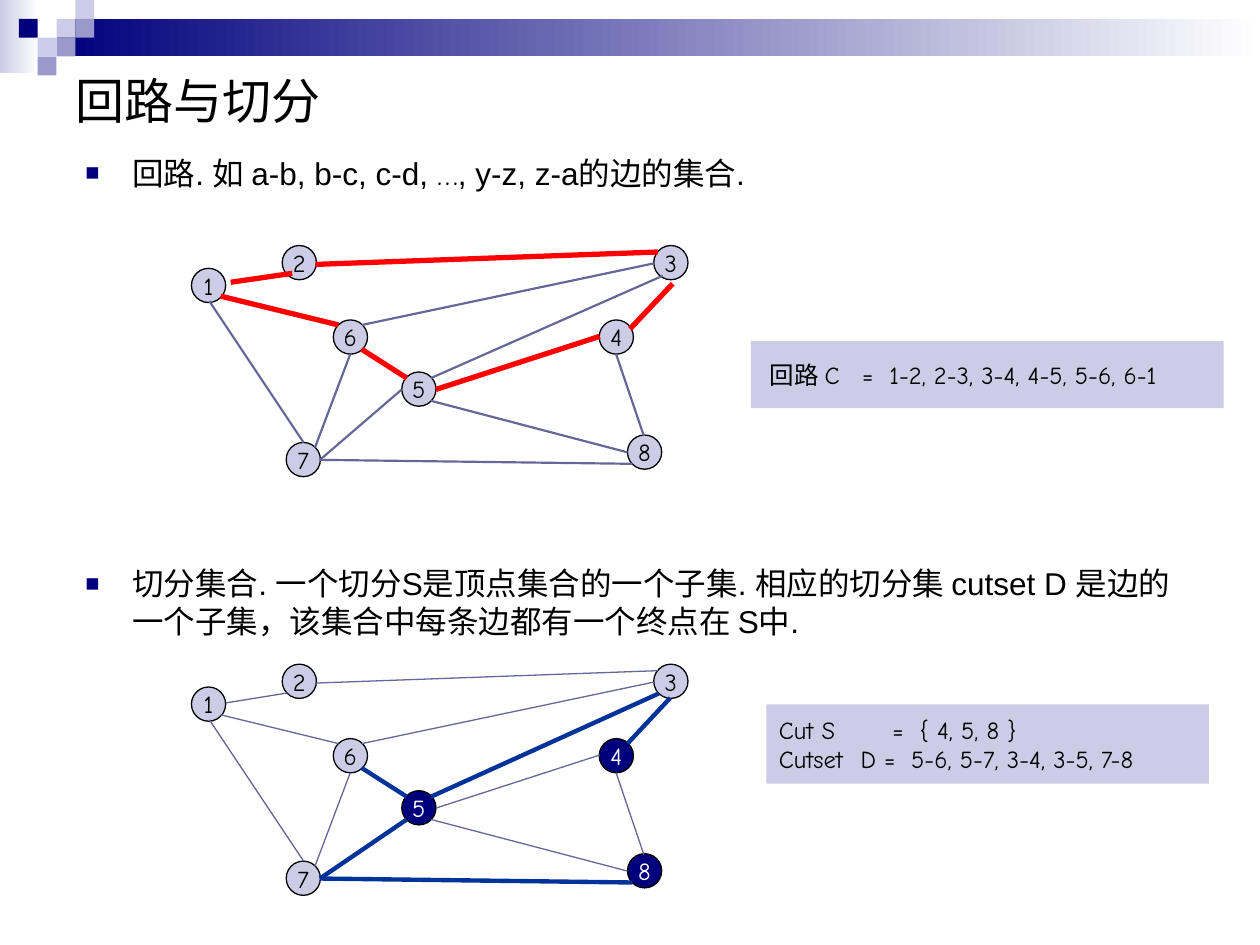
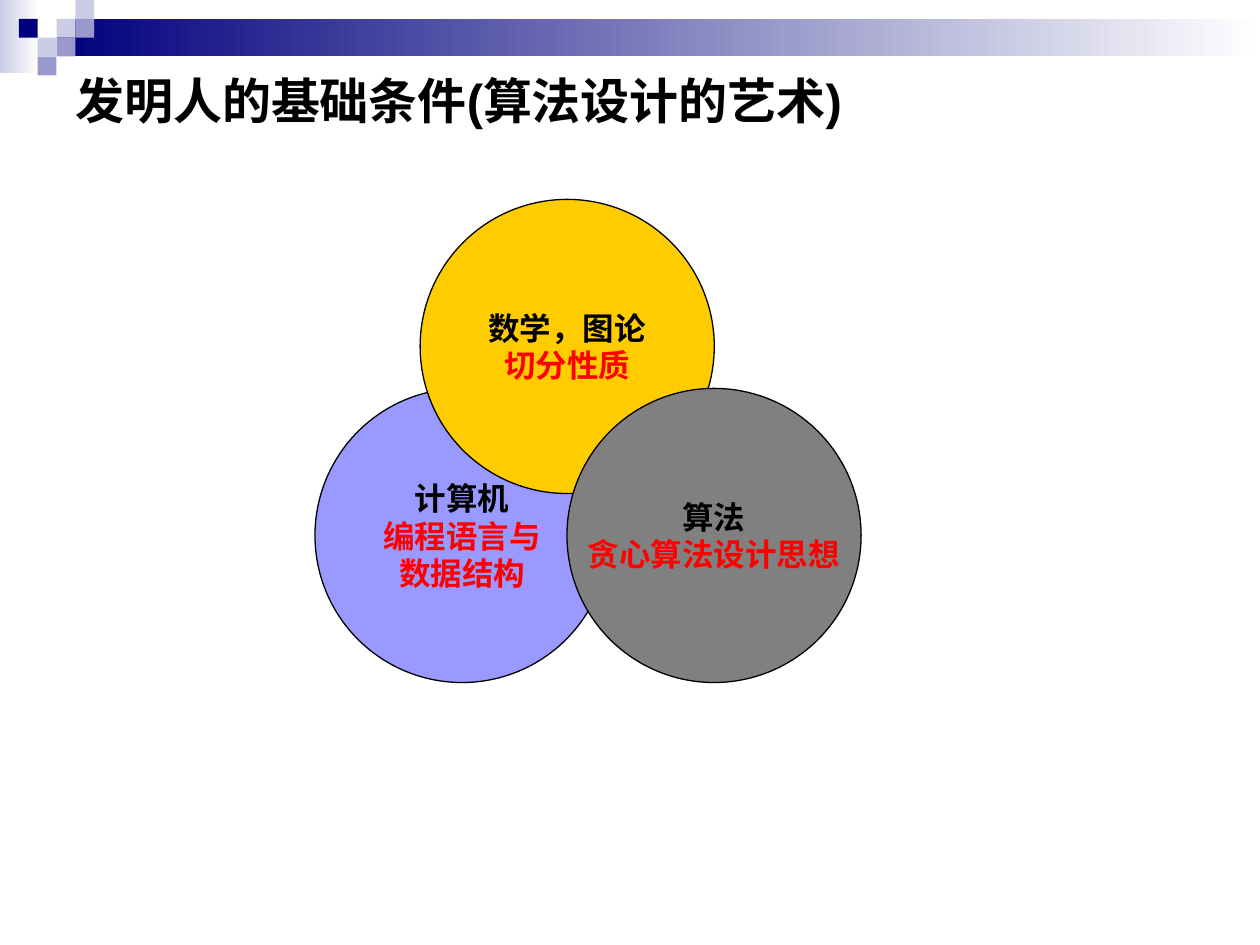
import dataclasses
import typing

import lxml.etree
import pptx
import pptx.dml.color
import pptx.enum.shapes
import pptx.enum.text
import pptx.oxml.ns
import pptx.util

Cm = pptx.util.Cm
RGBColor = pptx.dml.color.RGBColor
SHAPE = pptx.enum.shapes.MSO_SHAPE
ALIGN = pptx.enum.text.PP_ALIGN
ANCHOR = pptx.enum.text.MSO_ANCHOR

# Colours and fonts
BLACK = RGBColor(0x00, 0x00, 0x00)
WHITE = RGBColor(0xFF, 0xFF, 0xFF)
NAVY = RGBColor(0x00, 0x00, 0x7D)
LAVENDER = RGBColor(0xCC, 0xCC, 0xE6)
PERIWINKLE = RGBColor(0x99, 0x99, 0xCC)
EDGE_GREY = RGBColor(0x66, 0x66, 0x99)
CUT_BLUE = RGBColor(0x00, 0x33, 0x99)
RED = RGBColor(0xFF, 0x00, 0x00)
LILAC = RGBColor(0x99, 0x99, 0xFF)
GOLD = RGBColor(0xFF, 0xCC, 0x00)
GREY = RGBColor(0x80, 0x80, 0x80)
SANS = "Arial"
HAND = "Comic Neue"

SQUARE = 0.38
NODE = 0.69
DISC = 5.93


class Area(typing.NamedTuple):
    left: float
    top: float
    width: float
    height: float


class Span(typing.NamedTuple):
    text: str
    font: str = SANS
    color: RGBColor = BLACK


class Square(typing.NamedTuple):
    column: int
    row: int
    color: RGBColor


class Edge(typing.NamedTuple):
    x1: float
    y1: float
    x2: float
    y2: float


class Note(typing.NamedTuple):
    text: str
    tabs: tuple[float, ...]


@dataclasses.dataclass
class Graph:
    top: float
    marked_edges: set[str]
    mark_color: RGBColor
    mark_width: float
    plain_width: float
    dark_nodes: set[str] = dataclasses.field(default_factory=set)
    moved_edges: dict[str, Edge] = dataclasses.field(default_factory=dict)


@dataclasses.dataclass
class Disc:
    left: float
    top: float
    color: RGBColor
    heading: str
    details: list[str]


SQUARES = [
    Square(3, 1, LAVENDER), Square(4, 0, LAVENDER), Square(4, 1, PERIWINKLE),
    Square(2, 2, LAVENDER), Square(1, 1, NAVY), Square(3, 2, PERIWINKLE),
    Square(2, 3, PERIWINKLE),
]

# Left and top of each node, measured in the upper graph
NODES = {
    "1": (3.86, 5.41), "2": (5.69, 4.95), "3": (13.18, 4.95), "4": (12.08, 6.45),
    "5": (8.1, 7.5), "6": (6.72, 6.45), "7": (5.77, 8.92), "8": (12.65, 8.77),
}
EDGES = {
    "1-2": Edge(4.65, 5.69, 5.89, 5.51),
    "1-6": Edge(4.45, 5.97, 6.82, 6.55),
    "1-7": Edge(4.22, 6.07, 6.12, 8.92),
    "3-6": Edge(7.3, 6.55, 13.18, 5.31),
    "3-4": Edge(12.7, 6.63, 13.56, 5.72),
    "5-6": Edge(7.29, 7.04, 8.2, 7.62),
    "5-8": Edge(8.69, 8.08, 12.65, 9.12),
    "4-5": Edge(8.79, 7.85, 12.09, 6.78),
    "4-8": Edge(12.42, 7.14, 12.98, 8.79),
    "3-5": Edge(13.36, 5.56, 8.69, 7.62),
    "6-7": Edge(7.06, 7.14, 6.35, 9.02),
    "5-7": Edge(6.45, 9.27, 8.1, 7.85),
    "2-3": Edge(6.36, 5.33, 13.26, 5.08),
    "7-8": Edge(6.45, 9.27, 12.75, 9.35),
}
CYCLE_GRAPH = Graph(0, {"1-2", "2-3", "3-4", "4-5", "5-6", "1-6"}, RED, 3, 1.25)
CUT_GRAPH = Graph(
    8.44, {"5-6", "5-7", "3-4", "3-5", "7-8"}, CUT_BLUE, 2.5, 0.75,
    dark_nodes={"4", "5", "8"},
    moved_edges={
        "1-2": Edge(4.55, 5.73, 5.79, 5.53),
        "3-4": Edge(12.65, 6.55, 13.51, 5.63),
        "3-5": Edge(13.28, 5.54, 8.69, 7.62),
        "5-7": Edge(6.45, 9.27, 8.2, 8.08),
    },
)

DISCS = [
    Disc(6.35, 7.83, LILAC, "计算机", ["编程语言与", "数据结构"]),
    Disc(8.47, 4.02, GOLD, "数学，图论", ["切分性质"]),
    Disc(11.43, 7.83, GREY, "算法", ["贪心算法设计思想"]),
]


def add_element(parent, tag: str, **attributes: str):
    return lxml.etree.SubElement(parent, pptx.oxml.ns.qn(tag), attributes)


def add_bullet(para) -> None:
    properties = para._p.get_or_add_pPr()
    properties.set("marL", str(Cm(0.95)))
    properties.set("indent", str(-Cm(0.95)))
    color = add_element(properties, "a:buClr")
    add_element(color, "a:srgbClr", val=str(NAVY))
    add_element(properties, "a:buSzPct", val="75000")
    add_element(properties, "a:buFont", typeface=SANS)
    add_element(properties, "a:buChar", char="■")


def add_tabs(para, positions: typing.Sequence[float]) -> None:
    tabs = add_element(para._p.get_or_add_pPr(), "a:tabLst")
    for position in positions:
        add_element(tabs, "a:tab", pos=str(Cm(position)), algn="l")


def write_text(shape, paragraphs: list[list[Span]], *, size: float, bold: bool = False,
               align=ALIGN.LEFT, anchor=ANCHOR.MIDDLE, wrap: bool = True,
               inset: tuple[float, float] = (0.25, 0.13), bullet: bool = False,
               tabs: typing.Sequence[typing.Sequence[float]] = ()) -> None:
    frame = shape.text_frame
    frame.word_wrap = wrap
    frame.vertical_anchor = anchor
    frame.margin_left = frame.margin_right = Cm(inset[0])
    frame.margin_top = frame.margin_bottom = Cm(inset[1])
    for index, spans in enumerate(paragraphs):
        para = frame.add_paragraph() if index else frame.paragraphs[0]
        para.alignment = align
        if bullet:
            add_bullet(para)
        if tabs:
            add_tabs(para, tabs[index])
        for span in spans:
            run = para.add_run()
            run.text = span.text
            run.font.name = span.font
            run.font.size = pptx.util.Pt(size)
            run.font.bold = bold
            run.font.color.rgb = span.color


def add_text(page, area: Area, spans: list[Span], **text_format):
    box = page.shapes.add_textbox(*map(Cm, area))
    write_text(box, [spans], **text_format)


def add_shape(page, kind, area: Area, fill: RGBColor, *, fade: bool = False,
              outlined: bool = False):
    shape = page.shapes.add_shape(kind, *map(Cm, area))
    shape.shadow.inherit = False
    if fade:
        shape.fill.gradient()
        shape.fill.gradient_angle = 0
        for stop, color in zip(shape.fill.gradient_stops, (fill, WHITE)):
            stop.color.rgb = color
    else:
        shape.fill.solid()
        shape.fill.fore_color.rgb = fill
    if outlined:
        shape.line.color.rgb = BLACK
        shape.line.width = pptx.util.Pt(0.75)
    else:
        shape.line.fill.background()
    return shape


def add_page(deck, title: str, bold: bool = False):
    """Start a page with the shared header band and title."""
    page = deck.slides.add_slide(deck.slide_layouts[6])
    add_shape(page, SHAPE.RECTANGLE, Area(0, 0, 0.79, 1.47), LAVENDER, fade=True)
    add_shape(page, SHAPE.RECTANGLE, Area(1.14, 0.38, 24.26, 0.76), NAVY, fade=True)
    for square in SQUARES:
        area = Area(square.column * SQUARE, square.row * SQUARE, SQUARE, SQUARE)
        add_shape(page, SHAPE.RECTANGLE, area, square.color)
    add_text(page, Area(1.27, 1.27, 22.86, 1.47), [Span(title)], size=28, bold=bold)
    return page


def add_graph(page, graph: Graph) -> None:
    for name, (left, top) in NODES.items():
        dark = name in graph.dark_nodes
        node = add_shape(page, SHAPE.OVAL, Area(left, top + graph.top, NODE, NODE),
                         NAVY if dark else LAVENDER, outlined=True)
        label = Span(name, HAND, WHITE if dark else BLACK)
        write_text(node, [[label]], size=14, align=ALIGN.CENTER, wrap=False)
    for name, edge in (EDGES | graph.moved_edges).items():
        marked = name in graph.marked_edges
        line = page.shapes.add_connector(
            pptx.enum.shapes.MSO_CONNECTOR.STRAIGHT,
            Cm(edge.x1), Cm(edge.y1 + graph.top), Cm(edge.x2), Cm(edge.y2 + graph.top))
        line.line.color.rgb = graph.mark_color if marked else EDGE_GREY
        line.line.width = pptx.util.Pt(graph.mark_width if marked else graph.plain_width)
        add_element(line._element.spPr, "a:effectLst")


def add_notes_panel(page, area: Area, notes: list[Note], inset: tuple[float, float]) -> None:
    panel = add_shape(page, SHAPE.RECTANGLE, area, LAVENDER)
    write_text(panel, [[Span(note.text, HAND)] for note in notes], size=14,
               inset=inset, tabs=[note.tabs for note in notes])


def build_cycles_and_cuts(deck) -> None:
    page = add_page(deck, "回路与切分")
    bullet_format = dict(size=18, anchor=ANCHOR.TOP, bullet=True)
    add_text(page, Area(1.47, 2.97, 22.86, 1.1),
             [Span("回路. 如 a-b, b-c, c-d, "), Span("…", HAND),
              Span(", y-z, z-a的边的集合.")], **bullet_format)
    add_text(page, Area(1.47, 11.25, 22.86, 1.9),
             [Span("切分集合. 一个切分S是顶点集合的一个子集. 相应的切分集 cutset D "
                   "是边的一个子集，该集合中每条边都有一个终点在 S中.")], **bullet_format)
    add_notes_panel(page, Area(15.14, 6.88, 9.53, 1.35),
                    [Note("回路 C\t=\t1-2, 2-3, 3-4, 4-5, 5-6, 6-1", (1.86, 2.41))],
                    (0.38, 0.38))
    add_graph(page, CUT_GRAPH)
    add_notes_panel(page, Area(15.45, 14.2, 8.92, 1.6),
                    [Note("Cut S\t=\t{ 4, 5, 8 }", (2.29, 2.84)),
                     Note("Cutset\tD =\t5-6, 5-7, 3-4, 3-5, 7-8", (1.65, 2.67))],
                    (0.25, 0.2))
    add_graph(page, CYCLE_GRAPH)


def build_foundations(deck) -> None:
    page = add_page(deck, "发明人的基础条件(算法设计的艺术)", bold=True)
    for disc in DISCS:
        circle = add_shape(page, SHAPE.OVAL, Area(disc.left, disc.top, DISC, DISC),
                           disc.color, outlined=True)
        details = [[Span(detail, color=RED)] for detail in disc.details]
        write_text(circle, [[Span(disc.heading)], *details], size=18, bold=True,
                   align=ALIGN.CENTER, wrap=False)


def main() -> None:
    deck = pptx.Presentation()
    deck.slide_width, deck.slide_height = Cm(25.4), Cm(19.05)
    build_cycles_and_cuts(deck)
    build_foundations(deck)
    deck.save("out.pptx")


if __name__ == "__main__":
    main()
